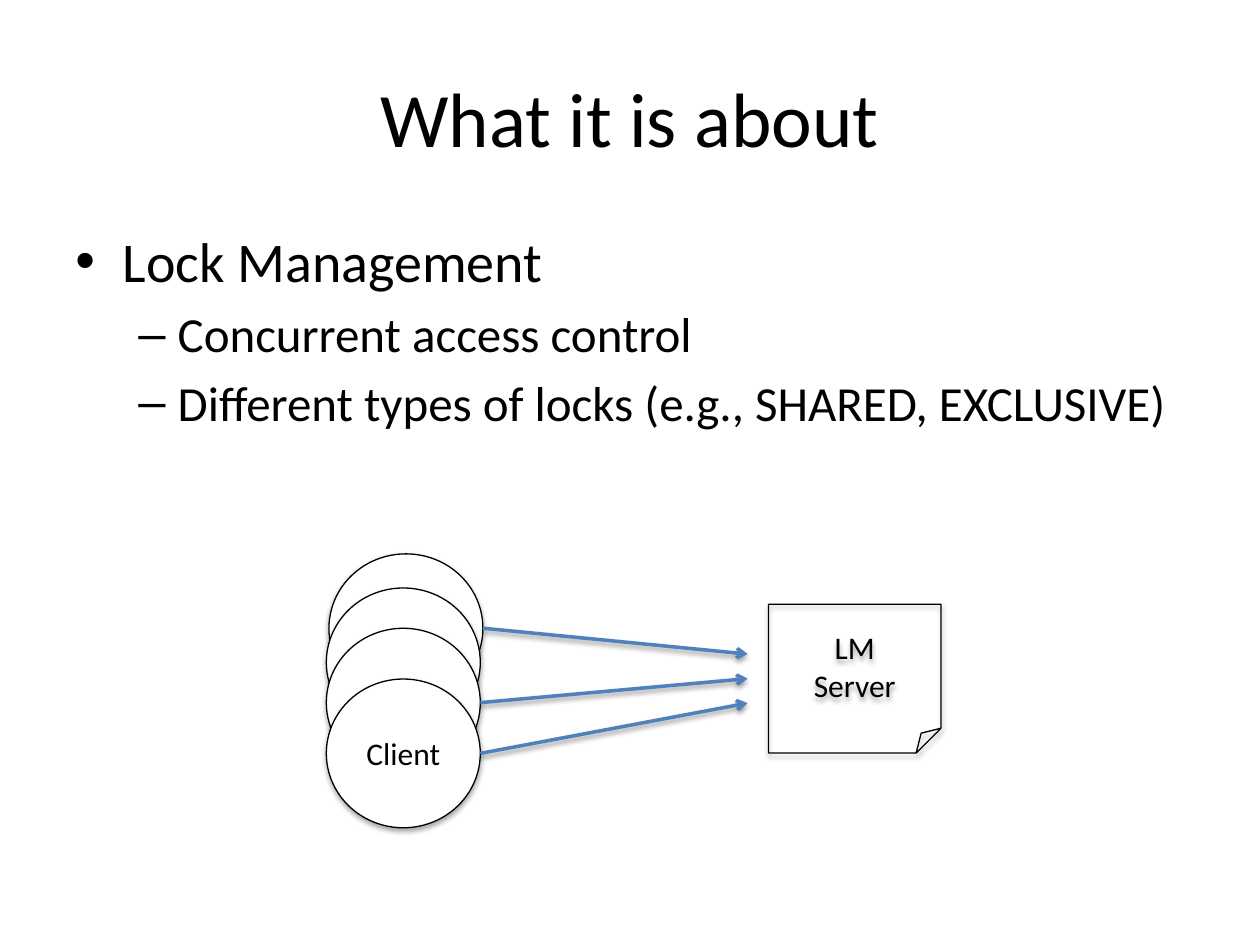
from lxml.etree import SubElement
from pptx import Presentation
from pptx.dml.color import RGBColor
from pptx.enum.shapes import MSO_CONNECTOR, MSO_SHAPE
from pptx.enum.text import MSO_ANCHOR, PP_ALIGN
from pptx.oxml.ns import qn
from pptx.util import Pt

BLACK = RGBColor(0x00, 0x00, 0x00)
WHITE = RGBColor(0xFF, 0xFF, 0xFF)
BLUE = RGBColor(0x4F, 0x81, 0xBD)

CENTRED = {"alignment": PP_ALIGN.CENTER}
MIDDLE = {"word_wrap": True, "vertical_anchor": MSO_ANCHOR.MIDDLE}
TOP = {"word_wrap": True, "vertical_anchor": MSO_ANCHOR.TOP}
LEVELS = [
    {"mark": "•", "size": 32, "margin": 27, "hanging": 27},
    {"mark": "–", "size": 28, "margin": 58.5, "hanging": 22.5},
]
POINTS = [
    (0, "Lock Management"),
    (1, "Concurrent access control"),
    (1, "Different types of locks (e.g., SHARED, EXCLUSIVE)"),
]
CLIENT_OFFSETS = [(1.5, 0), (0, 19.5), (0, 42.5), (0, 71.5)]
CLIENT_SIZE = (88, 85)


def apply(target, values):
    """Set every named format value on the target."""
    for name, value in values.items():
        setattr(target, name, value)


def write(paragraph, text, size, values):
    """Fill a paragraph with black Calibri text."""
    run = paragraph.add_run()
    run.text = text
    apply(run.font, {"name": "Calibri", "size": Pt(size)})
    run.font.color.rgb = BLACK
    apply(paragraph, values)


def write_lines(frame, lines, size):
    """Write centred lines in the middle of a text frame."""
    apply(frame, MIDDLE)
    for index, line in enumerate(lines):
        paragraph = frame.add_paragraph() if index else frame.paragraphs[0]
        write(paragraph, line, size, CENTRED)


def cast_shadow(part, opacity):
    """Give a shape or connector a soft shadow straight below."""
    effects = SubElement(part._element.spPr, qn("a:effectLst"))
    shadow = SubElement(effects, qn("a:outerShdw"), blurRad=str(Pt(3.1)),
                        dist=str(Pt(1.8)), dir="5400000", rotWithShape="0")
    colour = SubElement(shadow, qn("a:srgbClr"), val=str(BLACK))
    SubElement(colour, qn("a:alpha"), val=str(opacity * 1000))


def add_title(slide, box):
    """Place the centred heading in the box."""
    heading = slide.shapes.add_textbox(*map(Pt, box))
    write_lines(heading.text_frame, ["What it is about"], 44)


def add_points(slide, box):
    """Place the two-level bullet list in the box."""
    frame = slide.shapes.add_textbox(*map(Pt, box)).text_frame
    apply(frame, TOP)
    for index, (level, text) in enumerate(POINTS):
        paragraph = frame.add_paragraph() if index else frame.paragraphs[0]
        style = LEVELS[level]
        write(paragraph, text, style["size"],
              {"level": level, "space_before": Pt(style["size"] * 0.2)})
        properties = paragraph._p.get_or_add_pPr()
        properties.set("marL", str(Pt(style["margin"])))
        properties.set("indent", str(-Pt(style["hanging"])))
        SubElement(properties, qn("a:buFont"), typeface="Arial")
        SubElement(properties, qn("a:buChar"), char=style["mark"])


def add_node(slide, kind, box, lines):
    """Place one outlined, shadowed node with its label."""
    node = slide.shapes.add_shape(kind, *map(Pt, box))
    node.fill.background()
    node.line.color.rgb = BLACK
    node.line.width = Pt(0.75)
    cast_shadow(node, 35)
    write_lines(node.text_frame, lines, 18)
    return node


def add_request(slide, start, end):
    """Draw a blue arrow from a client towards the server."""
    request = slide.shapes.add_connector(
        MSO_CONNECTOR.STRAIGHT, *map(Pt, (*start, *end)))
    request.line.color.rgb = BLUE
    request.line.width = Pt(2)
    SubElement(request.line._ln, qn("a:tailEnd"), type="arrow")
    cast_shadow(request, 38)


def add_lock_diagram(slide, box):
    """Place the client stack, the server and the requests in the box."""
    left, top, width, height = box
    client_width, client_height = CLIENT_SIZE
    server_width, server_height = 98.5, 85
    server_left, server_top = left + width - server_width, top + 28.8
    add_node(slide, MSO_SHAPE.FOLDED_CORNER,
             (server_left, server_top, server_width, server_height),
             ["LM", "Server"])

    ports = []
    for index, (dx, dy) in enumerate(CLIENT_OFFSETS):
        is_front = index == len(CLIENT_OFFSETS) - 1
        client = add_node(
            slide, MSO_SHAPE.OVAL,
            (left + dx, top + dy, client_width, client_height),
            ["Client"] if is_front else [])
        client.fill.solid()
        client.fill.fore_color.rgb = WHITE
        ports.append((left + dx + client_width, top + dy + client_height / 2))

    server_middle = server_top + server_height / 2
    for row, port in zip((-1, 0, 1), (ports[0], ports[2], ports[3])):
        add_request(slide, port, (server_left - 12, server_middle + row * 14))


def main():
    """Build and save the slide."""
    presentation = Presentation()
    apply(presentation, {"slide_width": Pt(720), "slide_height": Pt(540)})
    slide = presentation.slides.add_slide(presentation.slide_layouts[6])
    add_title(slide, (36, 21.6, 648, 90))
    add_points(slide, (36, 126, 648, 356.4))
    add_lock_diagram(slide, (186.5, 316.5, 351.2, 156.5))
    presentation.save("out.pptx")


if __name__ == "__main__":
    main()
